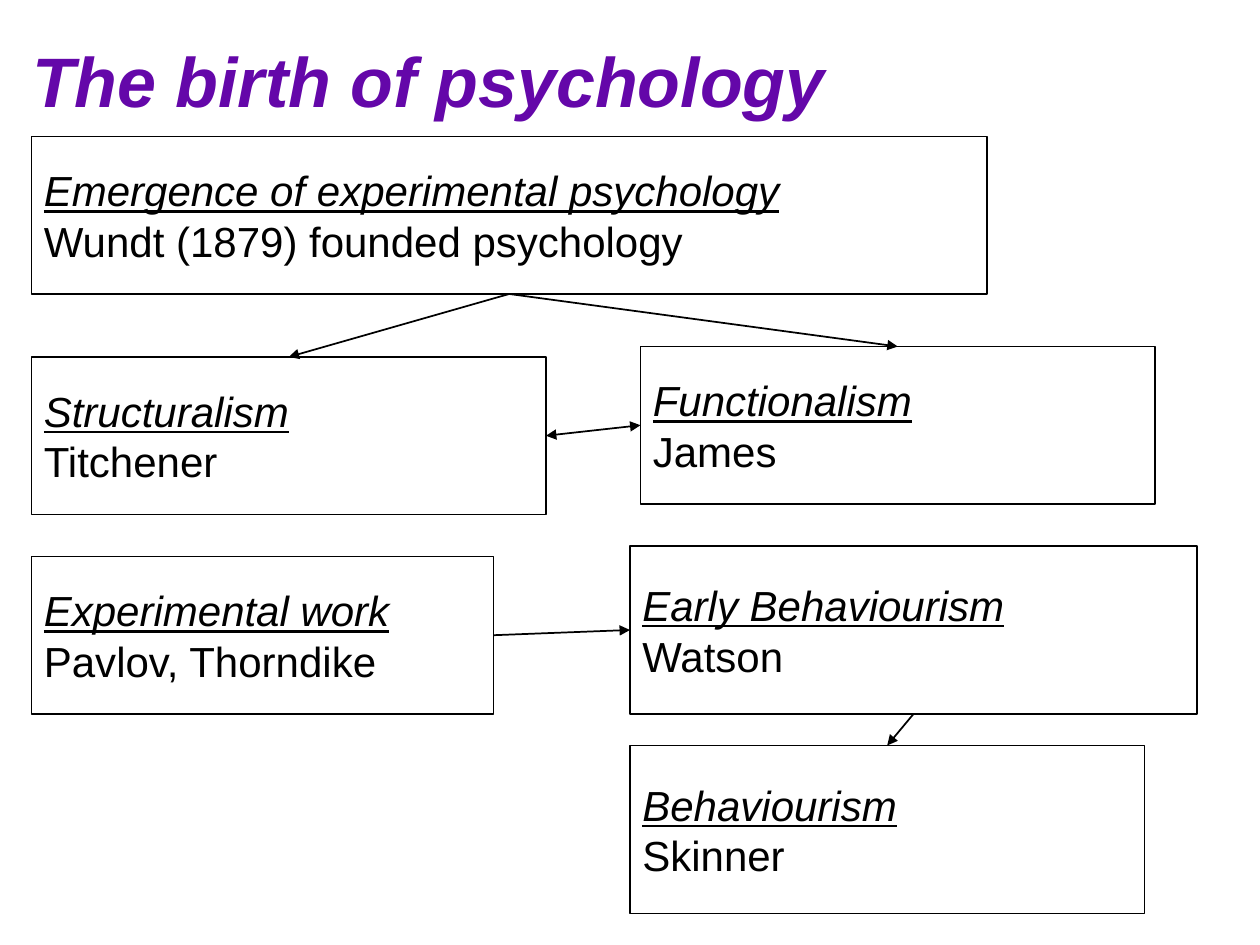
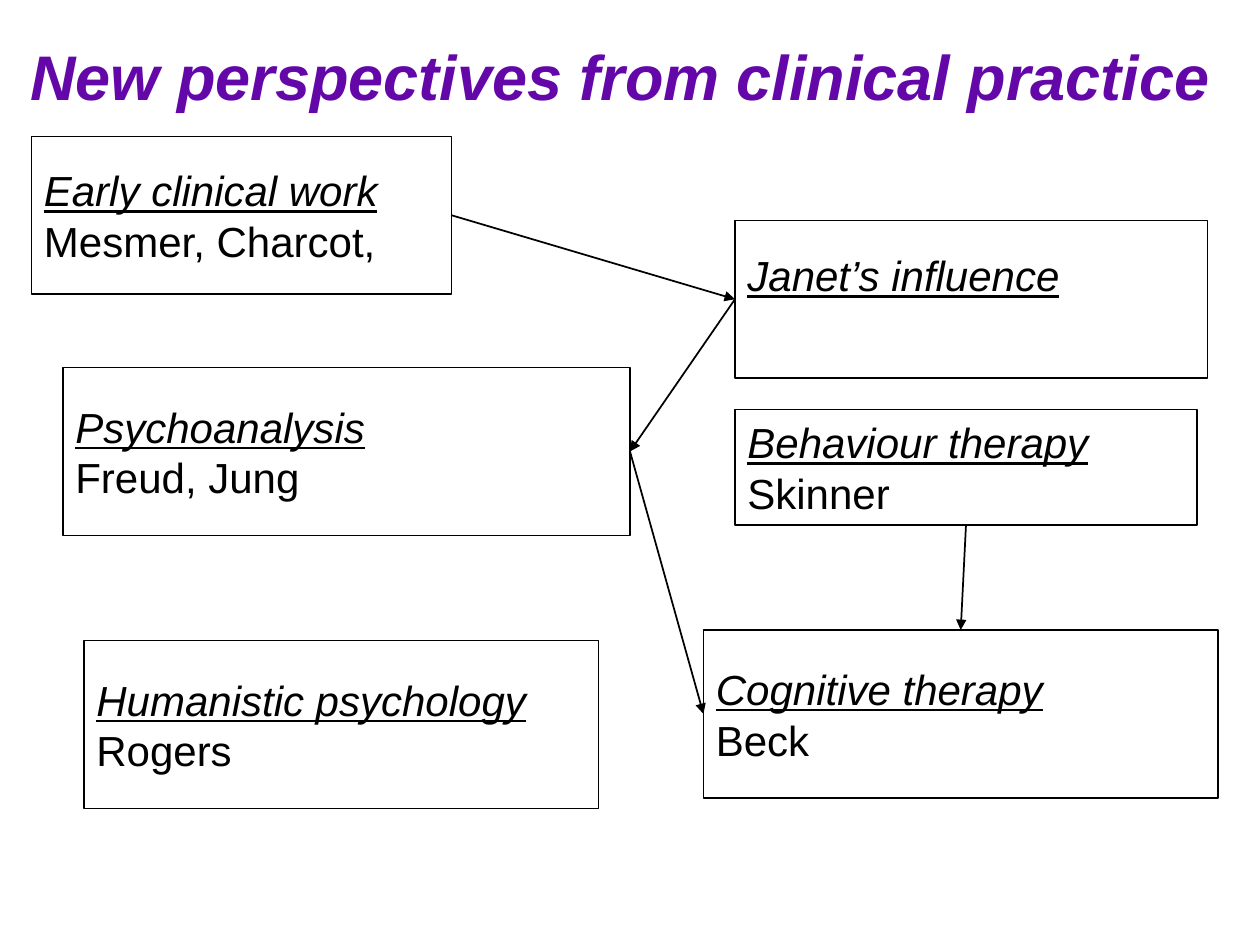
from lxml import etree
from pptx import Presentation
from pptx.dml.color import RGBColor
from pptx.enum.shapes import MSO_CONNECTOR, MSO_SHAPE
from pptx.enum.text import MSO_ANCHOR, PP_ALIGN
from pptx.oxml.ns import qn
from pptx.util import Inches, Pt

PURPLE = RGBColor(0x64, 0x07, 0xA9)
BLACK = RGBColor(0, 0, 0)
WHITE = RGBColor(255, 255, 255)
PROCESS = MSO_SHAPE.FLOWCHART_PROCESS
STRAIGHT = MSO_CONNECTOR.STRAIGHT
TOP, MIDDLE = MSO_ANCHOR.TOP, MSO_ANCHOR.MIDDLE
LEFT = PP_ALIGN.LEFT
FONT = "Arial"
UNIT = Inches(1) // 12
COLS, ROWS = 120, 90
UPPER, WEST, LOWER, EAST = range(4)
BODY = 24
LINE = 1.15
SPACE = 0.28

BIRTH = {
    "wundt": (3, 13, 91, 15, "Emergence of experimental psychology",
              "Wundt (1879) founded psychology"),
    "struct": (3, 34, 49, 15, "Structuralism", "Titchener"),
    "lab": (3, 53, 44, 15, "Experimental work", "Pavlov, Thorndike"),
    "early": (60, 52, 54, 16, "Early Behaviourism", "Watson"),
    "funct": (61, 33, 49, 15, "Functionalism", "James"),
    "behave": (60, 71, 49, 16, "Behaviourism", "Skinner"),
}
BIRTH_LINKS = [
    ("wundt", LOWER, "struct", UPPER, False),
    ("wundt", LOWER, "funct", UPPER, False),
    ("struct", EAST, "funct", WEST, True),
    ("lab", EAST, "early", WEST, False),
    ("early", LOWER, "behave", UPPER, False),
]
CLINIC = {
    "first": (3, 13, 40, 15, "Early clinical work", "Mesmer, Charcot,"),
    "janet": (70, 21, 45, 15, "Janet’s influence", ""),
    "freud": (6, 35, 54, 16, "Psychoanalysis", "Freud, Jung"),
    "behave": (70, 39, 44, 11, "Behaviour therapy", "Skinner"),
    "beck": (67, 60, 49, 16, "Cognitive therapy", "Beck"),
    "human": (8, 61, 49, 16, "Humanistic psychology", "Rogers"),
}
CLINIC_LINKS = [
    ("first", EAST, "janet", WEST, False),
    ("janet", WEST, "freud", EAST, False),
    ("freud", EAST, "beck", WEST, False),
    ("behave", LOWER, "beck", UPPER, False),
]


def grid(*cells):
    return [cell * UNIT for cell in cells]


def write(para, text, size=BODY, color=BLACK, bold=False, italic=False, under=False):
    para.alignment = LEFT
    run = para.add_run()
    run.text = text
    font = run.font
    font.name, font.size, font.color.rgb = FONT, Pt(size), color
    font.bold, font.italic, font.underline = bold, italic, under


def set_frame(shape, anchor):
    frame = shape.text_frame
    frame.word_wrap = True
    frame.vertical_anchor = anchor
    frame.margin_left = frame.margin_right = Inches(0.1)
    frame.margin_top = frame.margin_bottom = Inches(0.05)
    return frame


def add_title(slide, text, size, width):
    frame = set_frame(slide.shapes.add_textbox(*grid(0, 3, width, 8)), TOP)
    frame.margin_left += Pt(size * SPACE)
    write(frame.paragraphs[0], text, size=size, color=PURPLE, bold=True, italic=True)


def add_box(slide, left, top, width, height, head, names):
    box = slide.shapes.add_shape(PROCESS, *grid(left, top, width, height))
    box.shadow.inherit = False
    box.fill.solid()
    box.fill.fore_color.rgb = WHITE
    box.line.color.rgb = BLACK
    box.line.width = Pt(1)
    frame = set_frame(box, MIDDLE)
    write(frame.paragraphs[0], head, italic=True, under=True)
    if names:
        write(frame.add_paragraph(), names)
    else:
        frame.margin_bottom += Pt(BODY * LINE)
    return box


def add_arrow(slide, start, start_side, end, end_side, both):
    arrow = slide.shapes.add_connector(STRAIGHT, 0, 0, 0, 0)
    arrow.begin_connect(start, start_side)
    arrow.end_connect(end, end_side)
    arrow.line.color.rgb = BLACK
    arrow.line.width = Pt(1)
    line = arrow.line._get_or_add_ln()
    for tag in ("a:headEnd", "a:tailEnd") if both else ("a:tailEnd",):
        etree.SubElement(line, qn(tag), type="triangle")
    etree.SubElement(arrow._element.spPr, qn("a:effectLst"))


def add_chart_slide(deck, title, size, width, items, links):
    slide = deck.slides.add_slide(deck.slide_layouts[6])
    add_title(slide, title, size, width)
    boxes = {key: add_box(slide, *item) for key, item in items.items()}
    for start, start_side, end, end_side, both in links:
        add_arrow(slide, boxes[start], start_side, boxes[end], end_side, both)


def main():
    deck = Presentation()
    deck.slide_width, deck.slide_height = grid(COLS, ROWS)
    add_chart_slide(deck, "The birth of psychology", 40, 102, BIRTH, BIRTH_LINKS)
    add_chart_slide(deck, "New perspectives from clinical practice", 36, COLS,
                    CLINIC, CLINIC_LINKS)
    deck.save("out.pptx")


if __name__ == "__main__":
    main()
